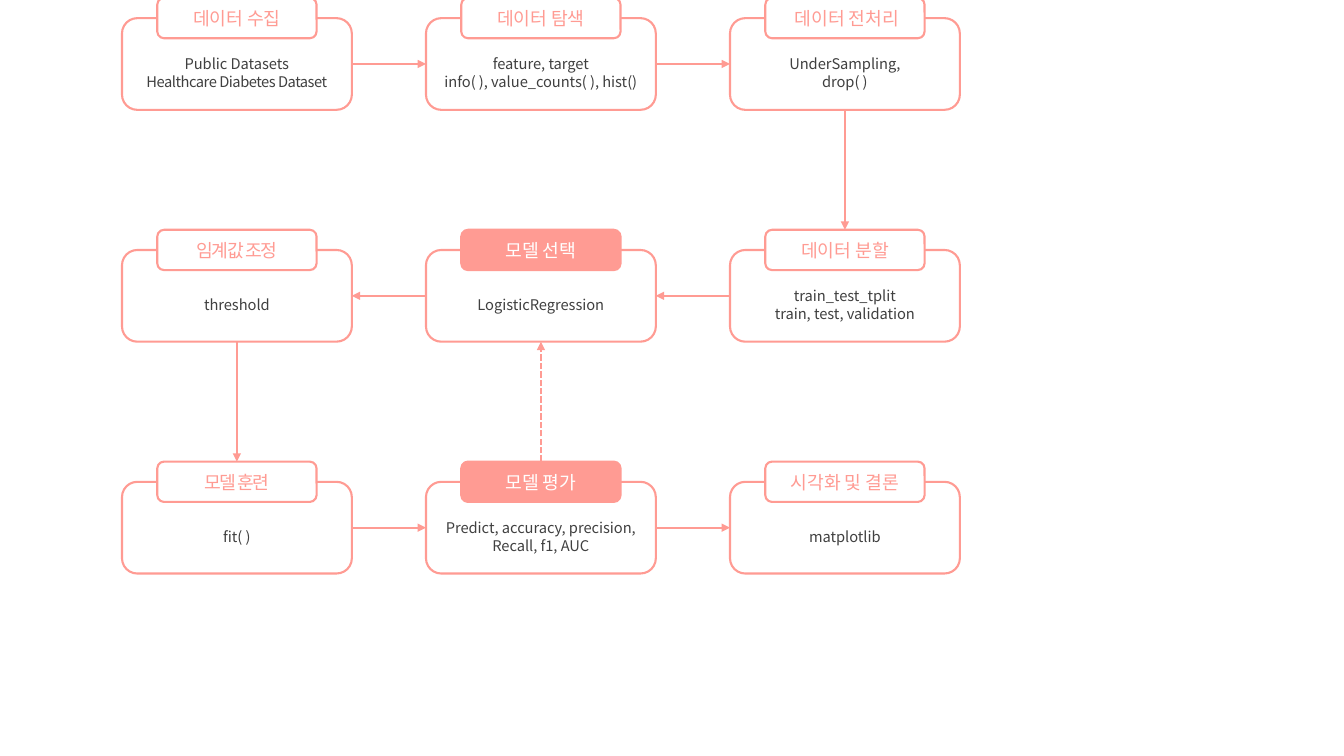
from dataclasses import dataclass

from lxml import etree
from pptx import Presentation
from pptx import util as u
from pptx.dml.color import RGBColor
from pptx.enum import dml, shapes, text
from pptx.oxml.ns import qn


@dataclass(frozen=True)
class Theme:
    accent: RGBColor = RGBColor(0xFF, 0x9B, 0x93)
    ink: RGBColor = RGBColor(0x40, 0x40, 0x40)
    paper: RGBColor = RGBColor(0xFF, 0xFF, 0xFF)
    font: str = "Noto Sans CJK KR"
    heading_size: float = 13
    detail_size: float = 10.5
    detail_leading: float = 12.9
    line_width: float = 1.5


THEME = Theme()

# Grid in inches: cards sit at the origin plus whole column and row steps.
LEFT, TOP = 1.21, 0.18
COLUMN_STEP, ROW_STEP = 3.015, 2.3
CARD_WIDTH, CARD_HEIGHT = 2.28, 0.91
TAB_WIDTH, TAB_HEIGHT = 1.58, 0.4
TAB_CLEARANCE = 0.17

TOP_SIDE, LEFT_SIDE, BOTTOM_SIDE, RIGHT_SIDE = range(4)


@dataclass
class Step:
    column: int
    row: int
    heading: str
    details: tuple
    highlighted: bool = False
    heading_spacing: float = 0
    detail_spacings: tuple = (0, 0)


STEPS = {
    "collect": Step(0, 0, "데이터 수집",
                    ("Public Datasets", "Healthcare Diabetes Dataset"),
                    detail_spacings=(0, -0.3)),
    "explore": Step(1, 0, "데이터 탐색",
                    ("feature, target", "info( ), value_counts( ), hist()")),
    "prepare": Step(2, 0, " 데이터 전처리", ("UnderSampling,", "drop( )")),
    "split": Step(2, 1, "데이터 분할",
                  ("train_test_tplit", "train, test, validation")),
    "select": Step(1, 1, "모델 선택", ("LogisticRegression",), highlighted=True),
    "adjust": Step(0, 1, "임계값 조정", ("threshold",), heading_spacing=-1),
    "train": Step(0, 2, "모델 훈련", ("fit( )",), heading_spacing=-1),
    "evaluate": Step(1, 2, "모델 평가",
                     ("Predict, accuracy, precision,", "Recall, f1, AUC"),
                     highlighted=True),
    "conclude": Step(2, 2, "시각화 및 결론", ("matplotlib",)),
}

FLOW = ("collect", "explore", "prepare", "split", "select", "adjust",
        "train", "evaluate", "conclude")


def add_rounded_box(page, left, top, width, height, fill):
    box = page.shapes.add_shape(
        shapes.MSO_SHAPE.ROUNDED_RECTANGLE,
        *(u.Inches(length) for length in (left, top, width, height)))
    box.shadow.inherit = False
    box.fill.solid()
    box.fill.fore_color.rgb = fill
    box.line.color.rgb = THEME.accent
    box.line.width = u.Pt(THEME.line_width)
    frame = box.text_frame
    frame.word_wrap = True
    frame.vertical_anchor = text.MSO_ANCHOR.MIDDLE
    frame.margin_left = frame.margin_right = 0
    frame.margin_top = frame.margin_bottom = 0
    return box


def write_line(para, words, size, color, spacing=0):
    """Fill a centred paragraph; spacing is the letter spacing in points."""
    para.alignment = text.PP_ALIGN.CENTER
    para.font.size = u.Pt(size)
    para.font.color.rgb = color
    para.font.name = THEME.font
    defaults = para.font._element
    etree.SubElement(defaults, qn("a:ea"), typeface=THEME.font)
    span = para.add_run()
    span.text = words
    if spacing:
        span.font._element.set("spc", str(round(spacing * 100)))


def add_step(page, step):
    """Draw a card with its heading tab and return both shapes."""
    left = LEFT + step.column * COLUMN_STEP
    top = TOP + step.row * ROW_STEP
    card = add_rounded_box(page, left, top, CARD_WIDTH, CARD_HEIGHT, THEME.paper)
    frame = card.text_frame
    frame.margin_top = u.Inches(TAB_CLEARANCE)
    for index, words in enumerate(step.details):
        para = frame.add_paragraph() if index else frame.paragraphs[0]
        para.line_spacing = u.Pt(THEME.detail_leading)
        write_line(para, words, THEME.detail_size, THEME.ink,
                   step.detail_spacings[index])

    fill, color = THEME.paper, THEME.accent
    if step.highlighted:
        fill, color = color, fill
    tab = add_rounded_box(page, left + (CARD_WIDTH - TAB_WIDTH) / 2,
                          top - TAB_HEIGHT / 2, TAB_WIDTH, TAB_HEIGHT, fill)
    write_line(tab.text_frame.paragraphs[0], step.heading,
               THEME.heading_size, color, step.heading_spacing)
    return card, tab


def add_arrow(page, start, start_side, end, end_side, dashed=False):
    arrow = page.shapes.add_connector(shapes.MSO_CONNECTOR.STRAIGHT, 0, 0, 0, 0)
    arrow.begin_connect(start, start_side)
    arrow.end_connect(end, end_side)
    arrow.line.color.rgb = THEME.accent
    arrow.line.width = u.Pt(THEME.line_width)
    if dashed:
        arrow.line.dash_style = dml.MSO_LINE.SQUARE_DOT
    properties = arrow._element.spPr
    etree.SubElement(properties.find(qn("a:ln")), qn("a:tailEnd"), type="triangle")
    etree.SubElement(properties, qn("a:effectLst"))


def link_steps(page, drawn, source, target):
    """Join neighbours sideways, or run down from a card to the next tab."""
    card, _ = drawn[source]
    next_card, next_tab = drawn[target]
    shift = STEPS[target].column - STEPS[source].column
    if shift == 0:
        add_arrow(page, card, BOTTOM_SIDE, next_tab, TOP_SIDE)
    elif shift > 0:
        add_arrow(page, card, RIGHT_SIDE, next_card, LEFT_SIDE)
    else:
        add_arrow(page, card, LEFT_SIDE, next_card, RIGHT_SIDE)


def main():
    deck = Presentation()
    deck.slide_width, deck.slide_height = u.Inches(13.33), u.Inches(7.5)
    page = deck.slides.add_slide(deck.slide_layouts.get_by_name("Blank"))
    drawn = {name: add_step(page, step) for name, step in STEPS.items()}
    for source, target in zip(FLOW, FLOW[1:]):
        link_steps(page, drawn, source, target)
    evaluate_tab = drawn["evaluate"][1]
    select_card = drawn["select"][0]
    add_arrow(page, evaluate_tab, TOP_SIDE, select_card, BOTTOM_SIDE, dashed=True)
    deck.save("out.pptx")


if __name__ == "__main__":
    main()
